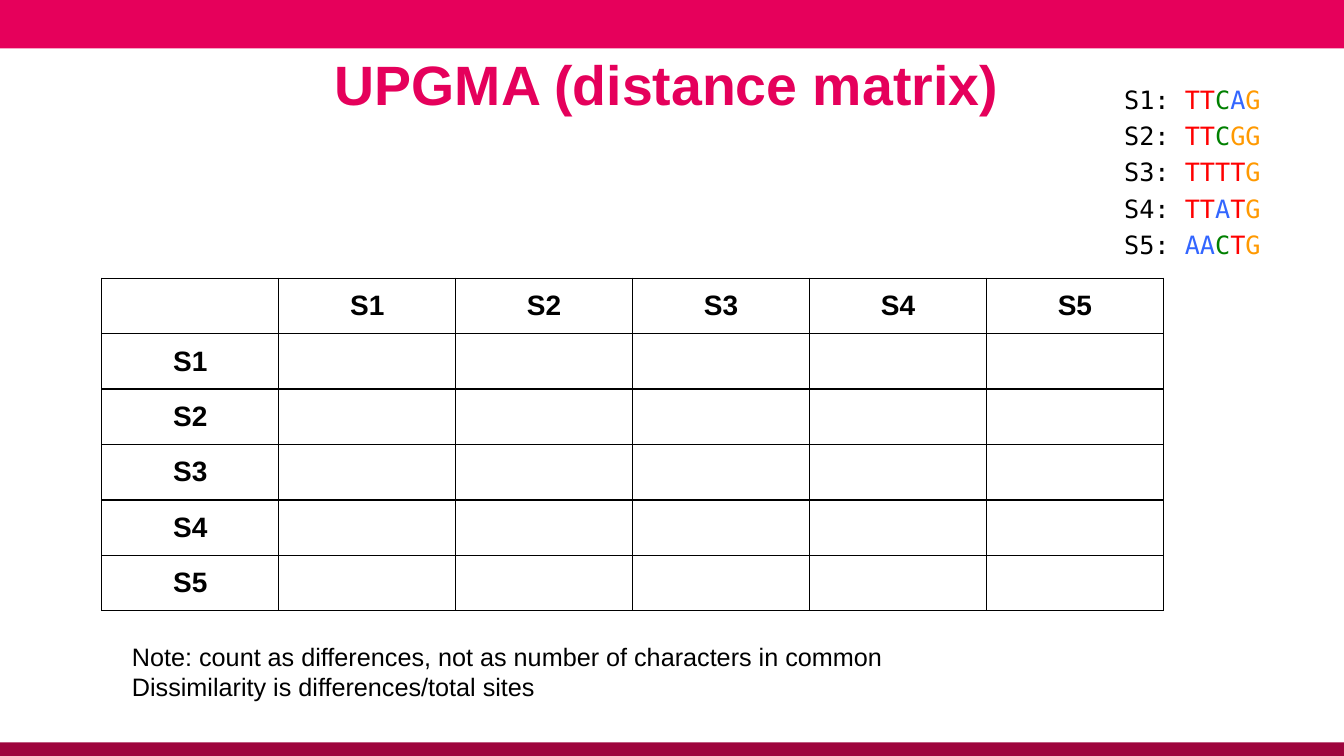
from dataclasses import dataclass
from itertools import groupby

from lxml import etree
from pptx import Presentation
from pptx import util as u
from pptx.dml.color import RGBColor
from pptx.enum import shapes, text
from pptx.oxml.ns import qn

WIDTH, HEIGHT = u.Inches(13.33), u.Inches(7.5)
COLOURS = {"band": "E6005B", "footer": "9E043D", "title": "E5005B", "ink": "000000",
           "T": "FF0000", "C": "008000", "A": "3366FF", "G": "FF9900"}
SEQUENCES = {"S1": "TTCAG", "S2": "TTCGG", "S3": "TTTTG", "S4": "TTATG", "S5": "AACTG"}
NOTES = ("Note: count as differences, not as number of characters in common",
         "Dissimilarity is differences/total sites")


@dataclass(frozen=True)
class Area:
    """A rectangle in percent of the slide's width and height."""
    left: float
    top: float
    width: float
    height: float

    def emu(self) -> tuple[int, ...]:
        sides = (WIDTH, HEIGHT, WIDTH, HEIGHT)
        shares = (self.left, self.top, self.width, self.height)
        return tuple(round(side * share / 100) for side, share in zip(sides, shares))


@dataclass(frozen=True)
class Band:
    area: Area
    colour: str


@dataclass(frozen=True)
class Style:
    size: float
    font: str = "Arial"
    colour: str = "ink"
    bold: bool = False


BANDS = (Band(Area(0, 0, 100, 6.4), "band"), Band(Area(0, 98.2, 100, 1.8), "footer"))
TITLE_AREA = Area(3.6, 6.53, 92.72, 10)
MATRIX_AREA = Area(7.58, 36.8, 79, 44)
SEQUENCE_AREA = Area(82.9, 10.53, 15.68, 22.93)
NOTE_AREA = Area(9.08, 84.13, 86.27, 9.47)


def rgb(name: str) -> RGBColor:
    return RGBColor.from_string(COLOURS[name])


def format_run(span, style: Style) -> None:
    span.font.size = u.Pt(style.size)
    span.font.name = style.font
    span.font.bold = style.bold
    span.font.color.rgb = rgb(style.colour)


def add_band(page, band: Band) -> None:
    box = page.shapes.add_shape(shapes.MSO_SHAPE.RECTANGLE, *band.area.emu())
    box.shadow.inherit = False
    box.fill.solid()
    box.fill.fore_color.rgb = rgb(band.colour)
    box.line.fill.background()


def add_text_frame(page, area: Area):
    frame = page.shapes.add_textbox(*area.emu()).text_frame
    frame.word_wrap = True
    return frame


def add_title(page) -> None:
    frame = add_text_frame(page, TITLE_AREA)
    frame.margin_left = 0
    frame.vertical_anchor = text.MSO_ANCHOR.MIDDLE
    frame.text = "UPGMA (distance matrix)"
    para = frame.paragraphs[0]
    para.alignment = text.PP_ALIGN.CENTER
    para.line_spacing = 0.9
    format_run(para.runs[0], Style(39.6, colour="title", bold=True))


def add_borders(cell) -> None:
    """Draw a thin line on each side; borders must precede the cell's fill."""
    properties = cell._tc.get_or_add_tcPr()
    for index, side in enumerate(("lnL", "lnR", "lnT", "lnB")):
        line = etree.Element(qn(f"a:{side}"), w=str(u.Pt(1)))
        fill = etree.SubElement(line, qn("a:solidFill"))
        etree.SubElement(fill, qn("a:srgbClr"), val=COLOURS["ink"])
        properties.insert(index, line)


def add_matrix(page) -> None:
    labels = ["", *SEQUENCES]
    count = len(labels)
    table = page.shapes.add_table(count, count, *MATRIX_AREA.emu()).table
    table.first_row = table.horz_banding = False
    for row in range(count):
        for column in range(count):
            cell = table.cell(row, column)
            cell.fill.background()
            add_borders(cell)
            cell.vertical_anchor = text.MSO_ANCHOR.MIDDLE
            if row and column:
                continue
            cell.text_frame.text = labels[row + column]
            para = cell.text_frame.paragraphs[0]
            para.alignment = text.PP_ALIGN.CENTER
            for span in para.runs:
                format_run(span, Style(20, bold=True))


def add_sequences(page) -> None:
    frame = add_text_frame(page, SEQUENCE_AREA)
    for index, (name, bases) in enumerate(SEQUENCES.items()):
        para = frame.add_paragraph() if index else frame.paragraphs[0]
        para.space_before = u.Pt(4.2)
        indent = u.Inches(0.37)
        properties = para._p.get_or_add_pPr()
        properties.set("marL", str(indent))
        properties.set("indent", str(-indent))
        pieces = [(f"{name}: ", "ink")]
        pieces += [("".join(group), base) for base, group in groupby(bases)]
        for piece, colour in pieces:
            span = para.add_run()
            span.text = piece
            format_run(span, Style(18, "DejaVu Sans Mono", colour))


def add_notes(page) -> None:
    frame = add_text_frame(page, NOTE_AREA)
    frame.auto_size = text.MSO_AUTO_SIZE.SHAPE_TO_FIT_TEXT
    frame.text = "\n".join(NOTES)
    for para in frame.paragraphs:
        format_run(para.runs[0], Style(18))


def main() -> None:
    deck = Presentation()
    deck.slide_width, deck.slide_height = WIDTH, HEIGHT
    page = deck.slides.add_slide(deck.slide_layouts[6])
    for band in BANDS:
        add_band(page, band)
    add_title(page)
    add_matrix(page)
    add_sequences(page)
    add_notes(page)
    deck.save("out.pptx")


if __name__ == "__main__":
    main()
